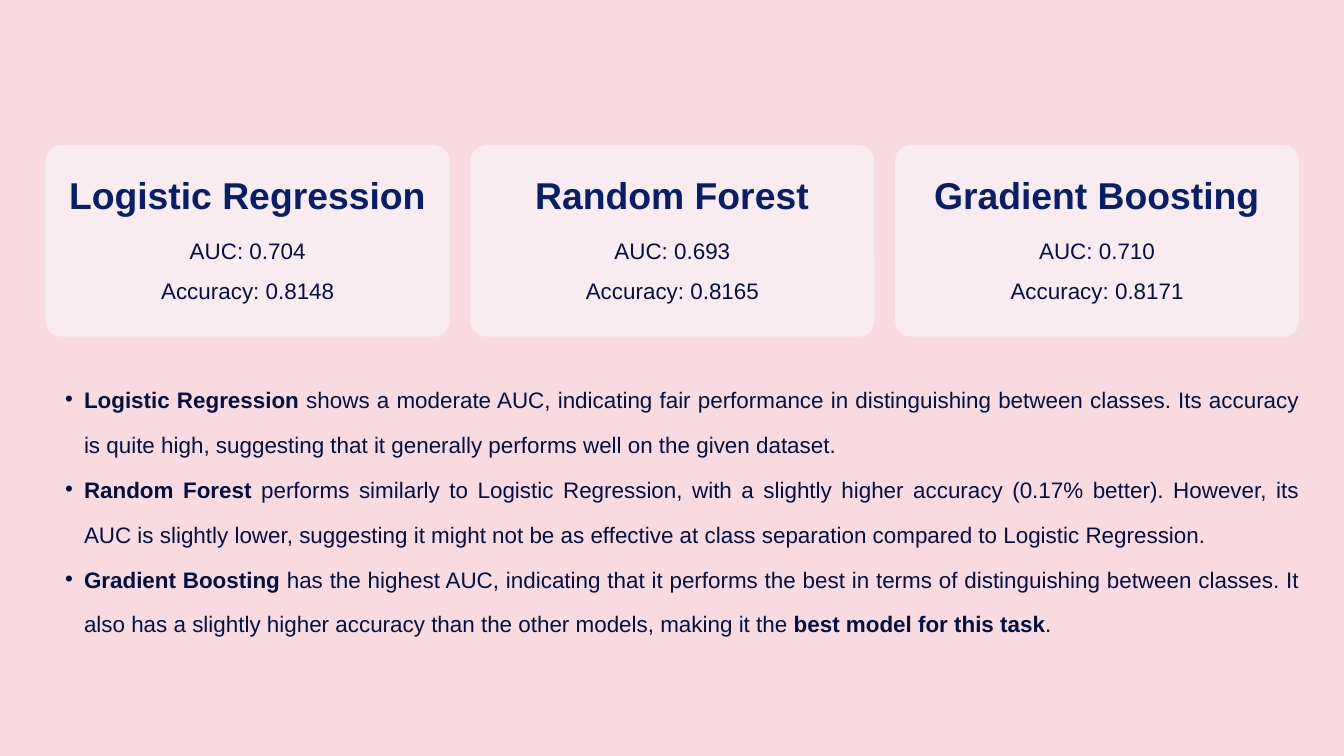
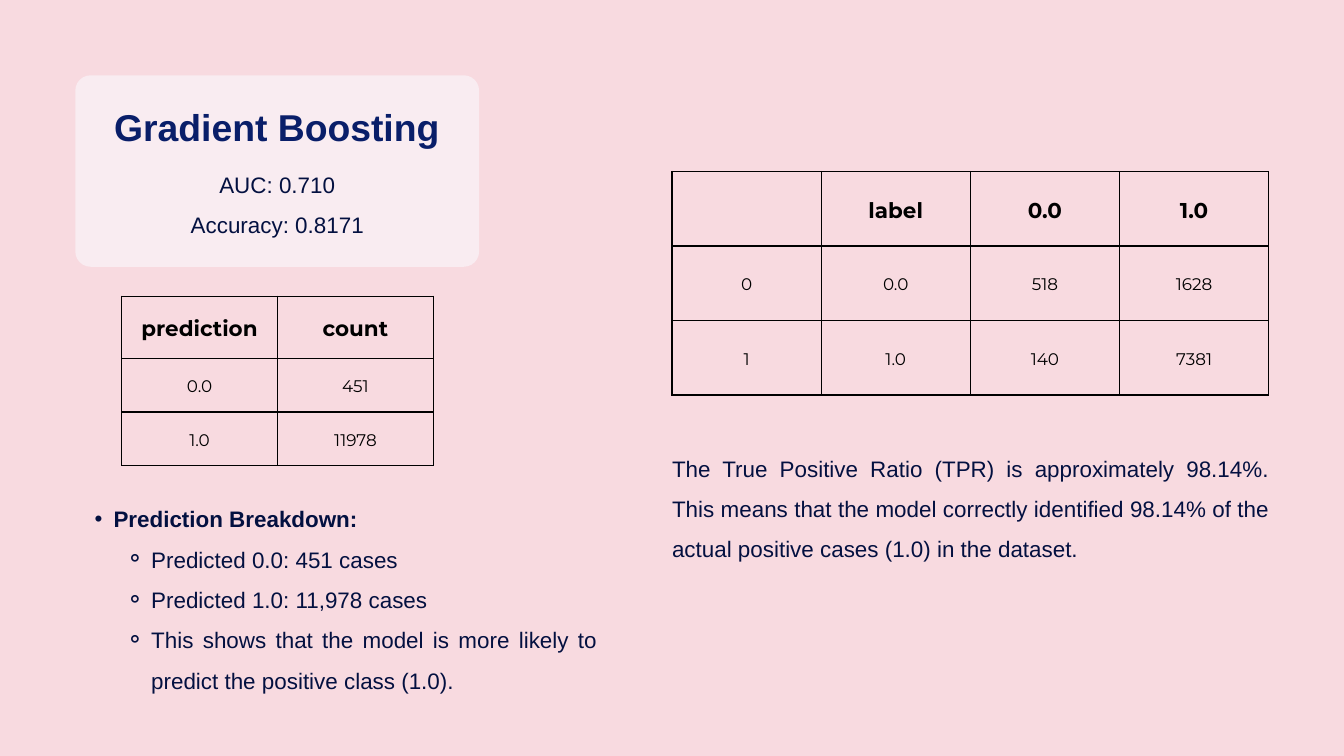
from pptx import Presentation
from pptx.dml.color import RGBColor
from pptx.enum.shapes import MSO_SHAPE
from pptx.enum.text import MSO_ANCHOR, MSO_AUTO_SIZE, PP_ALIGN
from pptx.oxml.ns import qn
from pptx.util import Inches, Pt
from lxml.etree import SubElement

COLORS = {
    "background": "F8DAE0",
    "card": "FBFBFF",
    "heading": "091E69",
    "body": "031040",
    "table": "000000",
}
CARD_WIDTH, CARD_HEIGHT = 6.01, 2.85
CARD_PITCH = 6.32
BULLETS = {1: ("•", 0.57, -0.28), 2: ("⚬", 1.13, -0.38)}
MODELS = [
    ("Logistic Regression", "0.704", "0.8148"),
    ("Random Forest", "0.693", "0.8165"),
    ("Gradient Boosting", "0.710", "0.8171"),
]
FINDINGS = [
    [("Logistic Regression", True),
     (" shows a moderate AUC, indicating fair performance in distinguishing between "
      "classes. Its accuracy is quite high, suggesting that it generally performs well "
      "on the given dataset.", False)],
    [("Random Forest", True),
     (" performs similarly to Logistic Regression, with a slightly higher accuracy "
      "(0.17% better). However, its AUC is slightly lower, suggesting it might not be "
      "as effective at class separation compared to Logistic Regression.", False)],
    [("Gradient Boosting", True),
     (" has the highest AUC, indicating that it performs the best in terms of "
      "distinguishing between classes. It also has a slightly higher accuracy than the "
      "other models, making it the ", False),
     ("best model for this task", True), (".", False)],
]
BREAKDOWN = [
    "Predicted 0.0: 451 cases",
    "Predicted 1.0: 11,978 cases",
    "This shows that the model is more likely to predict the positive class (1.0).",
]
TPR_NOTE = (
    "The True Positive Ratio (TPR) is approximately 98.14%. This means that the model "
    "correctly identified 98.14% of the actual positive cases (1.0) in the dataset."
)
PREDICTION_COUNTS = [["prediction", "count"], ["0.0", "451"], ["1.0", "11978"]]
CONFUSION_MATRIX = [
    ["", "label", "0.0", "1.0"],
    ["0", "0.0", "518", "1628"],
    ["1", "1.0", "140", "7381"],
]


def color(name):
    return RGBColor.from_string(COLORS[name])


def write(paragraph, text, size=24, font="Arial", ink="body", bold=False,
          align=PP_ALIGN.JUSTIFY, spacing=43.2, level=0):
    paragraph.alignment = align
    paragraph.line_spacing = Pt(spacing)
    if level:
        paragraph.level = level
        symbol, margin, indent = BULLETS[level]
        properties = paragraph._p.get_or_add_pPr()
        properties.set("marL", str(Inches(margin)))
        properties.set("indent", str(Inches(indent)))
        SubElement(properties, qn("a:buFont"), typeface="Arial")
        SubElement(properties, qn("a:buChar"), char=symbol)
    pieces = [(text, bold)] if isinstance(text, str) else text
    for words, strong in pieces:
        run = paragraph.add_run()
        run.text = words
        run.font.size = Pt(size)
        run.font.name = font
        run.font.bold = strong
        run.font.color.rgb = color(ink)


def add_text(slide, left, top, width, height, lines, **style):
    frame = slide.shapes.add_textbox(
        Inches(left), Inches(top), Inches(width), Inches(height)).text_frame
    frame.word_wrap = True
    frame.auto_size = MSO_AUTO_SIZE.SHAPE_TO_FIT_TEXT
    frame.margin_left = frame.margin_right = frame.margin_top = frame.margin_bottom = 0
    for index, line in enumerate(lines):
        paragraph = frame.add_paragraph() if index else frame.paragraphs[0]
        write(paragraph, line, **style)
    return frame


def add_card(slide, left, top, model, heading_drop=0.4, metrics_drop=1.17):
    name, auc, accuracy = model
    card = slide.shapes.add_shape(
        MSO_SHAPE.ROUNDED_RECTANGLE, Inches(left), Inches(top),
        Inches(CARD_WIDTH), Inches(CARD_HEIGHT))
    card.adjustments[0] = 0.08
    card.shadow.inherit = False
    card.fill.solid()
    card.fill.fore_color.rgb = color("card")
    tint = card.fill._xPr.find(qn("a:solidFill"))[0]
    SubElement(tint, qn("a:alpha"), val="55000")
    card.line.fill.background()
    add_text(slide, left + 0.28, top + heading_drop, 5.44, 0.76, [name], size=40,
             ink="heading", bold=True, align=PP_ALIGN.CENTER, spacing=48)
    add_text(slide, left + 0.35, top + metrics_drop, 5.31, 1.2,
             [f"AUC: {auc}", f"Accuracy: {accuracy}"], align=PP_ALIGN.CENTER)


def outline_cell(cell):
    properties = cell._tc.get_or_add_tcPr()
    for side in ("lnL", "lnR", "lnT", "lnB"):
        border = SubElement(properties, qn(f"a:{side}"), w=str(Pt(1.5)))
        paint = SubElement(border, qn("a:solidFill"))
        SubElement(paint, qn("a:srgbClr"), val=COLORS["table"])
    cell.fill.background()


def add_grid(slide, left, top, column_width, row_heights, rows):
    columns = len(rows[0])
    grid = slide.shapes.add_table(
        len(rows), columns, Inches(left), Inches(top),
        Inches(column_width * columns), Inches(sum(row_heights))).table
    grid.first_row = grid.horz_banding = False
    for column in grid.columns:
        column.width = Inches(column_width)
    for r, (height, values) in enumerate(zip(row_heights, rows)):
        grid.rows[r].height = Inches(height)
        size, spacing = (18, 25.2) if r else (23, 32.2)
        for c, value in enumerate(values):
            cell = grid.cell(r, c)
            outline_cell(cell)
            cell.vertical_anchor = MSO_ANCHOR.MIDDLE
            cell.margin_left = cell.margin_right = Inches(0.19)
            cell.margin_top = cell.margin_bottom = Inches(0.19)
            if value:
                write(cell.text_frame.paragraphs[0], value, size=size, font="Montserrat",
                      ink="table", bold=r == 0, align=PP_ALIGN.CENTER, spacing=spacing)


def add_slide(deck):
    slide = deck.slides.add_slide(deck.slide_layouts[6])
    slide.background.fill.solid()
    slide.background.fill.fore_color.rgb = color("background")
    return slide


def build_comparison(deck):
    slide = add_slide(deck)
    for index, model in enumerate(MODELS):
        add_card(slide, 0.68 + index * CARD_PITCH, 2.16, model)
    add_text(slide, 0.68, 5.47, 18.65, 3.99, FINDINGS, spacing=48.2, level=1)


def build_best_model(deck):
    slide = add_slide(deck)
    add_card(slide, 1.12, 1.12, MODELS[-1], heading_drop=0.43, metrics_drop=1.22)
    add_grid(slide, 1.81, 4.41, 2.32, [0.92, 0.8, 0.8], PREDICTION_COUNTS)
    add_grid(slide, 10, 2.55, 2.22, [1.11] * 3, CONFUSION_MATRIX)
    breakdown = add_text(slide, 1.12, 7.32, 7.76, 2.98, ["Prediction Breakdown:"],
                         bold=True, level=1)
    for case in BREAKDOWN:
        write(breakdown.add_paragraph(), case, level=2)
    add_text(slide, 10, 6.57, 8.88, 1.79, [TPR_NOTE])


def main():
    deck = Presentation()
    deck.slide_width, deck.slide_height = Inches(20), Inches(11.25)
    build_comparison(deck)
    build_best_model(deck)
    deck.save("out.pptx")


if __name__ == "__main__":
    main()
